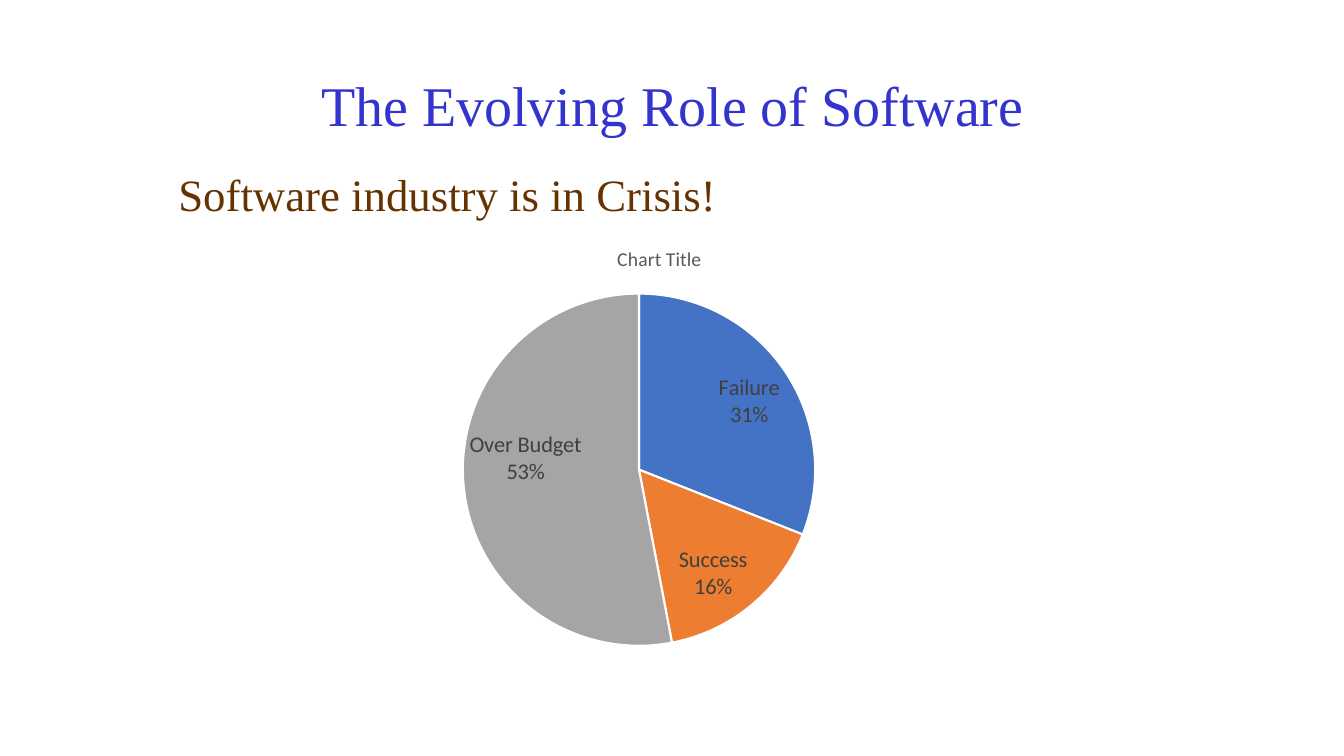
from lxml import etree
from pptx import Presentation
from pptx.chart.data import CategoryChartData
from pptx.dml.color import RGBColor
from pptx.enum.chart import XL_CHART_TYPE, XL_LABEL_POSITION
from pptx.enum.text import MSO_ANCHOR, PP_ALIGN
from pptx.oxml.ns import qn
from pptx.util import Inches, Pt

PIE = XL_CHART_TYPE.PIE
INSIDE_END = XL_LABEL_POSITION.INSIDE_END
TOP, BOTTOM = MSO_ANCHOR.TOP, MSO_ANCHOR.BOTTOM
LEFT, CENTER = PP_ALIGN.LEFT, PP_ALIGN.CENTER

COLORS = {
    "title": "3333CD", "subtitle": "663300", "chart_title": "595959",
    "label": "404040", "border": "FFFFFF", "text": "000000",
}
OUTCOMES = [
    ("Failure", 31, "4472C4"),
    ("Success", 16, "ED7D31"),
    ("Over Budget", 53, "A5A5A5"),
]
TITLE_BOX = (1.67, 0.57, 10, 0.85)
SUBTITLE_BOX = (1.67, 1.66, 10, 4.09)
CHART_BOX = (3.18, 2.25, 6.72, 4.68)
PIE_SHARES = {"x": 0.21, "y": 0.14, "w": 0.52, "h": 0.75}


def set_font(font, name, size, color):
    font.name = name
    font.size = Pt(size)
    font.bold = False
    font.color.rgb = RGBColor.from_string(COLORS[color])


def add_heading(slide, box, text, size, color, align, anchor):
    frame = slide.shapes.add_textbox(*map(Inches, box)).text_frame
    frame.word_wrap = True
    frame.vertical_anchor = anchor
    para = frame.paragraphs[0]
    para.text = text
    para.alignment = align
    para.line_spacing = 0.9
    set_font(para.font, "Times New Roman", size, color)


def place_plot(chart, shares):
    plot_area = chart.plots[0]._element.getparent()
    for old in plot_area.findall(qn("c:layout")):
        plot_area.remove(old)
    layout = etree.Element(qn("c:layout"))
    plot_area.insert(0, layout)
    manual = etree.SubElement(layout, qn("c:manualLayout"))
    settings = {"layoutTarget": "inner", "xMode": "edge", "yMode": "edge", **shares}
    for tag, value in settings.items():
        etree.SubElement(manual, qn(f"c:{tag}")).set("val", str(value))


def add_outcome_pie(slide, box):
    data = CategoryChartData()
    data.categories = [name for name, _, _ in OUTCOMES]
    data.add_series("Series 1", [share for _, share, _ in OUTCOMES])
    chart = slide.shapes.add_chart(PIE, *map(Inches, box), data).chart
    set_font(chart.font, "Calibri", 10, "text")
    chart.has_legend = False
    chart.has_title = True
    title = chart.chart_title.text_frame
    title.text = "Chart Title"
    set_font(title.paragraphs[0].font, "Calibri", 14, "chart_title")
    place_plot(chart, PIE_SHARES)

    plot = chart.plots[0]
    plot.vary_by_categories = True
    for index, (_, _, color) in enumerate(OUTCOMES):
        slice_format = plot.series[0].points[index].format
        slice_format.fill.solid()
        slice_format.fill.fore_color.rgb = RGBColor.from_string(color)
        slice_format.line.width = Pt(1.5)
        slice_format.line.color.rgb = RGBColor.from_string(COLORS["border"])

    plot.has_data_labels = True
    labels = plot.data_labels
    set_font(labels.font, "Calibri", 16, "label")
    labels.show_value = False
    labels.show_category_name = True
    labels.show_percentage = True
    labels.position = INSIDE_END
    separator = etree.Element(qn("c:separator"))
    separator.text = "\n"
    labels._element.find(qn("c:showBubbleSize")).addnext(separator)


def main():
    deck = Presentation()
    deck.slide_width, deck.slide_height = Inches(13.33), Inches(7.5)
    slide = deck.slides.add_slide(deck.slide_layouts[6])
    add_heading(slide, TITLE_BOX, "The Evolving Role of Software", 40, "title", CENTER, BOTTOM)
    add_heading(slide, SUBTITLE_BOX, "Software industry is in Crisis!", 32, "subtitle", LEFT, TOP)
    add_outcome_pie(slide, CHART_BOX)
    deck.save("out.pptx")


if __name__ == "__main__":
    main()
